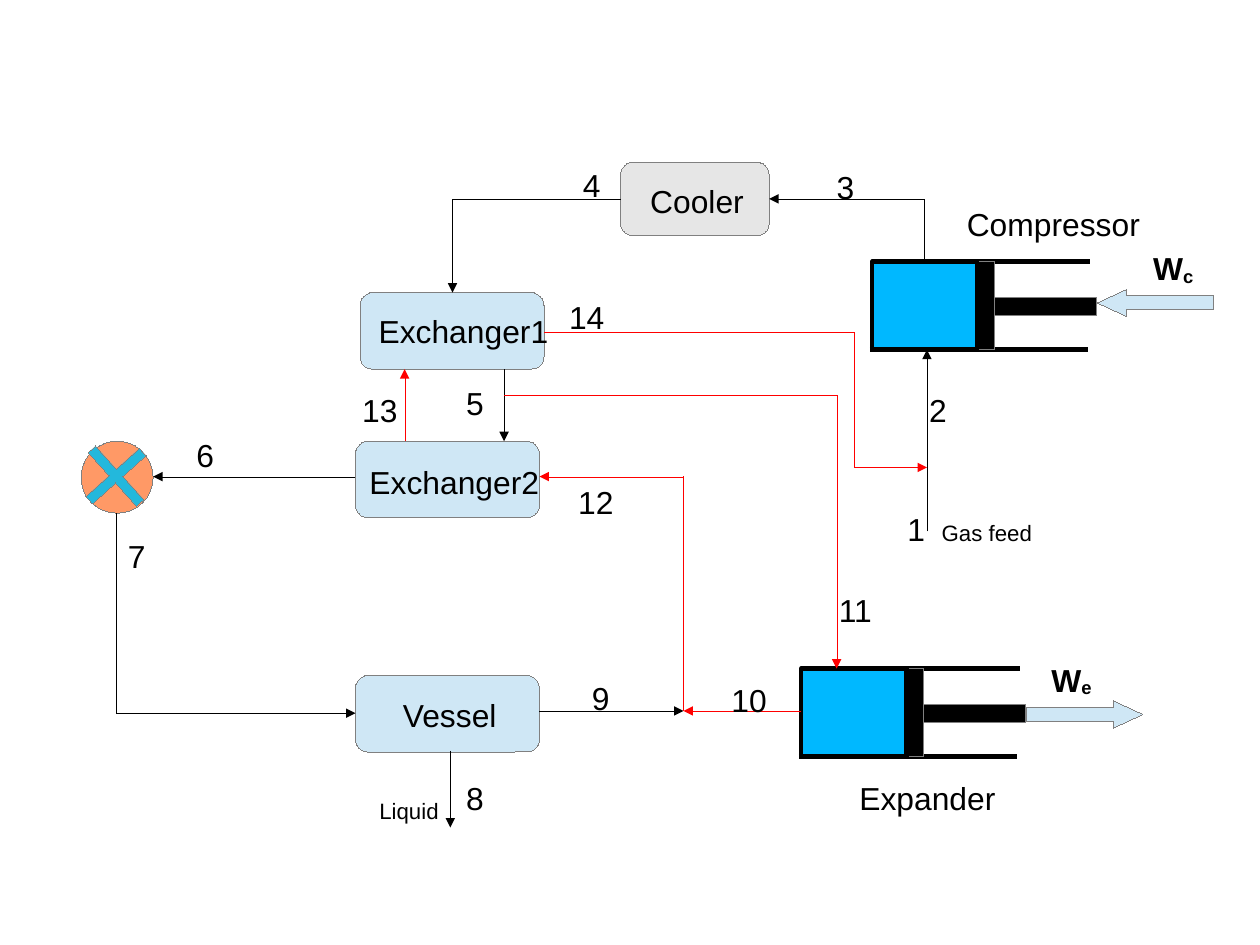
from pptx import Presentation
from pptx.dml.color import RGBColor
from pptx.enum.shapes import MSO_CONNECTOR, MSO_SHAPE
from pptx.enum.text import MSO_AUTO_SIZE, PP_ALIGN
from pptx.oxml.ns import qn
from pptx.util import Inches, Pt
from lxml import etree

STRAIGHT, ELBOW = MSO_CONNECTOR.STRAIGHT, MSO_CONNECTOR.ELBOW
ROUND, RECT = MSO_SHAPE.ROUNDED_RECTANGLE, MSO_SHAPE.RECTANGLE
OVAL, CROSS = MSO_SHAPE.OVAL, MSO_SHAPE.CROSS
LEFT, RIGHT = MSO_SHAPE.LEFT_ARROW, MSO_SHAPE.RIGHT_ARROW
FIT, CENTER = MSO_AUTO_SIZE.SHAPE_TO_FIT_TEXT, PP_ALIGN.CENTER

THEME = dict(font="Arial", big=20, small=14, hair=0, thick=2.83,
             black="000000", red="FF0000", edge="808080", pale="CFE7F5",
             grey="E6E6E6", gas="00B8FF", valve="FF9966", cross="23B8DC")

# Units: box, fill, name, place of the name, centred or not
UNITS = [
    ((5.43, 1.42, 1.3, 0.64), "grey", "Cooler", (5.59, 1.54, 1.02), False),
    ((3.15, 2.56, 1.61, 0.67), "pale", "Exchanger1", (3.15, 2.68, 1.81), True),
    ((3.11, 3.86, 1.61, 0.67), "pale", "Exchanger2", (3.07, 4, 1.81), True),
    ((3.11, 5.91, 1.61, 0.67), "pale", "Vessel", (3.42, 6.04, 1.03), True),
]

# Machines: corner, name, its offset, work index, its offset, arrow and drop
MACHINES = [
    ((7.63, 2.29), "Compressor", (0.73, -0.55), "c", (2.36, -0.16), LEFT, 0.24),
    ((7.01, 5.85), "Expander", (0.41, 0.91), "e", (2.09, -0.12), RIGHT, 0.28),
]

# Streams: start, end, colour, arrow at the end or not
STREAMS = [
    ((8.11, 4.65), (8.11, 3.06), "black", True),
    ((3.94, 6.57), (3.94, 7.24), "black", True),
    ((4.41, 3.23), (4.41, 3.86), "black", True),
    ((3.11, 4.17), (1.34, 4.17), "black", True),
    ((4.72, 6.22), (5.98, 6.22), "black", True),
    ((7.01, 6.22), (5.98, 6.22), "red", True),
    ((4.41, 3.46), (7.32, 3.46), "red", False),
    ((7.32, 3.46), (7.32, 5.85), "red", True),
    ((5.98, 6.22), (5.98, 4.17), "red", False),
    ((5.98, 4.17), (4.72, 4.17), "red", True),
    ((3.54, 3.86), (3.54, 3.23), "red", True),
    ((4.76, 2.91), (7.48, 2.91), "red", False),
    ((7.48, 2.91), (7.48, 4.09), "red", False),
    ((7.48, 4.09), (8.11, 4.09), "red", True),
]

# Bent streams run level first, then upright; the arrow sits at one end
BENDS = [
    ((6.73, 1.74), (8.09, 2.29), "headEnd"),
    ((5.43, 1.74), (3.96, 2.56), "tailEnd"),
    ((3.11, 6.24), (1.02, 4.49), "headEnd"),
]

# Places of the stream numbers 1 to 14
NUMBERS = [(7.84, 4.41), (8.03, 3.37), (7.22, 1.42), (5, 1.4), (3.98, 3.31),
           (1.62, 3.76), (1.02, 4.65), (3.98, 6.76), (5.08, 5.89), (6.3, 5.91),
           (7.24, 5.12), (4.96, 4.17), (3.07, 3.37), (4.88, 2.56)]
NOTES = [("Liquid", (3.22, 6.93, 0.72)), ("Gas feed", (8.14, 4.49, 0.99))]

# Slide of 28 by 21 centimetres
deck = Presentation()
deck.slide_width = Inches(28 / 2.54)
deck.slide_height = Inches(21 / 2.54)
shapes = deck.slides.add_slide(deck.slide_layouts[6]).shapes


def color(key):
    return RGBColor.from_string(THEME[key])


def stroke(part, ink, width):
    part.line.color.rgb = color(ink)
    pen = part.line._get_or_add_ln()
    pen.set("w", str(Pt(THEME[width])))  # a hairline needs an explicit zero
    return pen


def block(kind, box, fill, edge="edge", width="hair", adj=()):
    part = shapes.add_shape(kind, *map(Inches, box))
    part.shadow.inherit = False
    part.fill.solid()
    part.fill.fore_color.rgb = color(fill)
    stroke(part, edge, width)
    for i, value in enumerate(adj):
        part.adjustments[i] = value
    return part


def label(text, place, size="big", high=0.41, wrap=True, center=False, sub=""):
    left, top, wide = place
    box = shapes.add_textbox(*map(Inches, (left, top, wide, high)))
    frame = box.text_frame
    frame.text = text
    frame.word_wrap = wrap
    frame.auto_size = FIT
    para = frame.paragraphs[0]
    if center:
        para.alignment = CENTER
    if sub:
        run = para.add_run()
        run.text = sub
        run.font._element.set("baseline", "-8000")
    for run in para.runs:
        run.font.name = THEME["font"]
        run.font.size = Pt(THEME[size])
        run.font.bold = bool(sub)
        run.font.color.rgb = color("black")


def line(start, end, ink="black", width="hair", tip=None, kind=STRAIGHT):
    part = shapes.add_connector(kind, *map(Inches, start + end))
    pen = stroke(part, ink, width)
    if tip:
        etree.SubElement(pen, qn("a:" + tip), type="triangle")
    etree.SubElement(part._element.spPr, qn("a:effectLst"))
    return part


# Process units
for box, fill, name, place, center in UNITS:
    block(ROUND, box, fill, adj=[0.167])
    label(name, place, center=center)

# Valve
block(OVAL, (0.71, 3.86, 0.63, 0.63), "valve")
block(CROSS, (0.7, 3.85, 0.63, 0.63), "cross", adj=[0.432]).rotation = 48

# Piston machines
for (x, y), name, (nx, ny), index, (wx, wy), arrow, drop in MACHINES:
    line((x, y), (x + 1.91, y), width="thick")
    line((x - 0.02, y + 0.77), (x + 1.89, y + 0.77), width="thick")
    line((x, y), (x, y + 0.77), width="thick")
    block(RECT, (x + 1.07, y + 0.31, 0.89, 0.16), "black")
    block(RECT, (x + 0.92, y, 0.15, 0.77), "black")
    block(RECT, (x, y, 0.92, 0.77), "gas", "black", "thick")
    block(arrow, (x + 1.97, y + drop, 1.02, 0.24), "pale", adj=[0.5, 1.083])
    label("W", (x + wx, y + wy, 0.63), high=0.5, sub=index)
    label(name, (x + nx, y + ny, 1.72))

# Streams
for start, end, ink, arrow in STREAMS:
    line(start, end, ink, tip="tailEnd" if arrow else None)
for start, end, tip in BENDS:
    bend = line(start, end, tip=tip, kind=ELBOW)
    bend._element.spPr.find(qn("a:prstGeom")).set("prst", "bentConnector2")

# Stream numbers and notes
for number, (x, y) in enumerate(NUMBERS, 1):
    label(str(number), (x, y, 0.35 if number < 10 else 0.55))
for text, place in NOTES:
    label(text, place, "small", 0.32, wrap=False)

deck.save("out.pptx")
